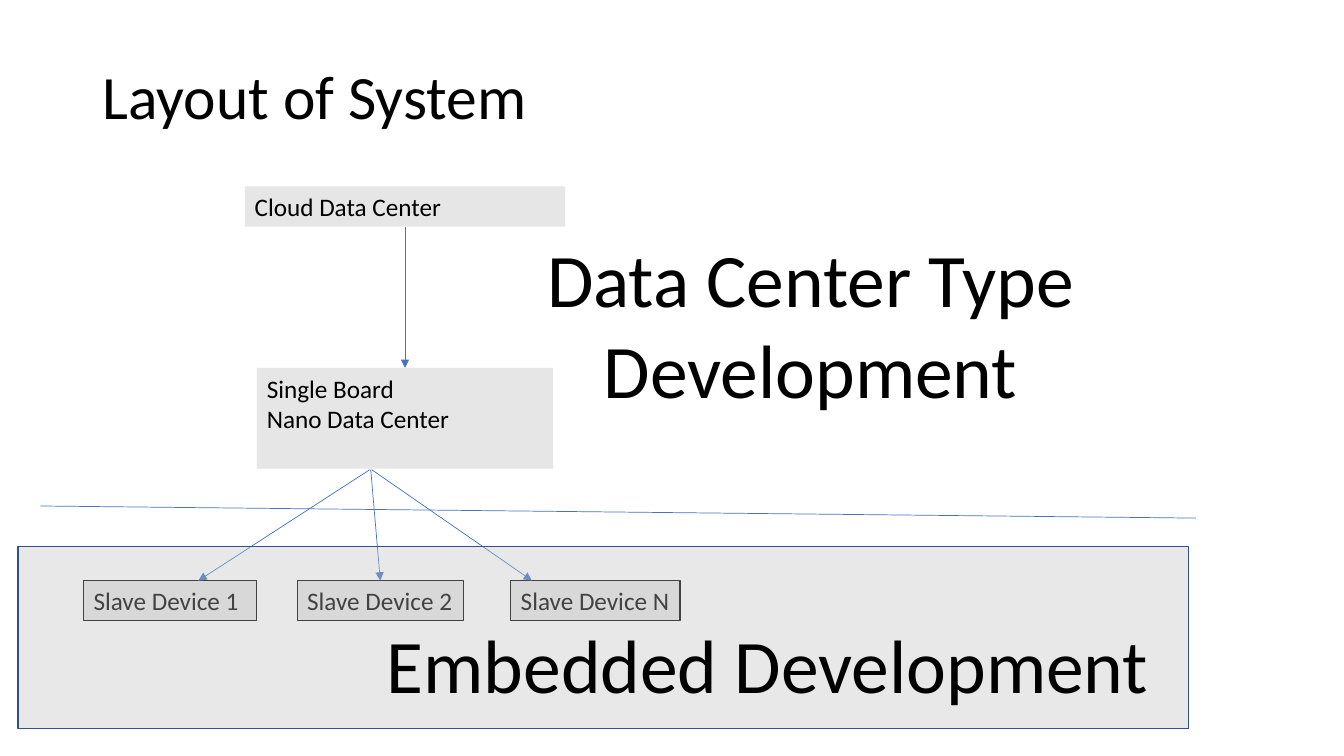
from dataclasses import dataclass

from lxml import etree
from pptx import Presentation
from pptx.dml.color import RGBColor
from pptx.enum.shapes import MSO_CONNECTOR, MSO_SHAPE
from pptx.enum.text import MSO_ANCHOR, PP_ALIGN
from pptx.oxml.ns import qn
from pptx.shapes.autoshape import Shape
from pptx.shapes.connector import Connector
from pptx.slide import Slide
from pptx.util import Inches, Pt

RECT = MSO_SHAPE.RECTANGLE
STRAIGHT = MSO_CONNECTOR.STRAIGHT
TOP, MIDDLE = MSO_ANCHOR.TOP, MSO_ANCHOR.MIDDLE
LEFT, CENTER = PP_ALIGN.LEFT, PP_ALIGN.CENTER
SIDE_TOP, SIDE_BOTTOM = 0, 2


@dataclass(frozen=True)
class Theme:
    font: str = "Calibri"
    text: RGBColor = RGBColor(0, 0, 0)
    box: RGBColor = RGBColor(0xE7, 0xE6, 0xE6)
    band: RGBColor = RGBColor(0xBF, 0xBF, 0xBF)
    band_line: RGBColor = RGBColor(0x2F, 0x52, 0x8F)
    arrow: RGBColor = RGBColor(0x44, 0x72, 0xC4)
    band_alpha: int = 35
    body: int = 18
    title: int = 44
    zone: int = 54


@dataclass(frozen=True)
class Box:
    key: str
    text: str
    left: float
    top: float
    width: float
    height: float = 0.4
    outlined: bool = False


@dataclass(frozen=True)
class Link:
    start: tuple[float, float]
    end: tuple[float, float]
    source: str = ""
    target: str = ""
    arrow: bool = True


@dataclass(frozen=True)
class Label:
    text: str
    left: float
    top: float
    width: float
    height: float
    size: int
    align: PP_ALIGN = CENTER
    anchor: MSO_ANCHOR = TOP
    spacing: float = 1.0
    wrap: bool = False


THEME = Theme()
DEVICE_TOP = 5.76
HUB_Y = 4.66

BOXES = [
    Box("hub", "Single Board\nNano Data Center", 2.55, 3.65, 2.94, 1),
    Box("device 1", "Slave Device 1", 0.83, DEVICE_TOP, 1.72, outlined=True),
    Box("device 2", "Slave Device 2", 2.95, DEVICE_TOP, 1.65, outlined=True),
    Box("device N", "Slave Device N", 5.07, DEVICE_TOP, 1.68, outlined=True),
    Box("cloud", "Cloud Data Center", 2.43, 1.85, 3.18),
]
LINKS = [
    Link((4.02, 2.25), (4.02, 3.65), source="cloud", target="hub"),
    Link((3.67, HUB_Y), (1.97, DEVICE_TOP)),
    Link((3.68, HUB_Y), (3.78, DEVICE_TOP), target="device 2"),
    Link((3.69, HUB_Y), (5.28, DEVICE_TOP)),
    Link((0.4, 5.02), (11.87, 5.14), arrow=False),
]
TITLE = Label("Layout of System", 0.92, 0.4, 11.5, 1.17, THEME.title,
              LEFT, MIDDLE, 0.9, True)
ZONES = [
    Label("Embedded Development", 3.73, 6.08, 7.78, 1, THEME.zone),
    Label("Data Center Type\nDevelopment", 5.3, 2.25, 5.49, 1.9, THEME.zone),
]


def write(sp: Shape, text: str, *, size: int = THEME.body,
          align: PP_ALIGN = LEFT, anchor: MSO_ANCHOR = TOP,
          spacing: float = 1.0, wrap: bool = True) -> None:
    tf = sp.text_frame
    tf.word_wrap = wrap
    tf.vertical_anchor = anchor
    for i, line in enumerate(text.split("\n")):
        p = tf.paragraphs[0] if i == 0 else tf.add_paragraph()
        p.alignment = align
        p.line_spacing = spacing
        r = p.add_run()
        r.text = line
        r.font.name = THEME.font
        r.font.size = Pt(size)
        r.font.color.rgb = THEME.text


def add_rect(s: Slide, left: float, top: float, width: float, height: float,
             fill: RGBColor, line: RGBColor | None = None,
             weight: float = 0.75) -> Shape:
    sp = s.shapes.add_shape(RECT, Inches(left), Inches(top),
                            Inches(width), Inches(height))
    sp.shadow.inherit = False
    sp.fill.solid()
    sp.fill.fore_color.rgb = fill
    if line is None:
        sp.line.fill.background()
    else:
        sp.line.color.rgb = line
        sp.line.width = Pt(weight)
    return sp


def add_box(s: Slide, box: Box) -> Shape:
    sp = add_rect(s, box.left, box.top, box.width, box.height, THEME.box,
                  THEME.text if box.outlined else None)
    write(sp, box.text)
    return sp


def add_link(s: Slide, link: Link, boxes: dict[str, Shape]) -> Connector:
    cn = s.shapes.add_connector(STRAIGHT, *map(Inches, link.start + link.end))
    if link.source:
        cn.begin_connect(boxes[link.source], SIDE_BOTTOM)
    if link.target:
        cn.end_connect(boxes[link.target], SIDE_TOP)
    cn.line.color.rgb = THEME.arrow
    cn.line.width = Pt(0.5)
    if link.arrow:
        ln = cn._element.spPr.find(qn("a:ln"))
        etree.SubElement(ln, qn("a:tailEnd"), type="triangle")
    etree.SubElement(cn._element.spPr, qn("a:effectLst"))
    return cn


def add_label(s: Slide, label: Label) -> None:
    sp = s.shapes.add_textbox(Inches(label.left), Inches(label.top),
                              Inches(label.width), Inches(label.height))
    write(sp, label.text, size=label.size, align=label.align,
          anchor=label.anchor, spacing=label.spacing, wrap=label.wrap)


def add_band(s: Slide) -> None:
    sp = add_rect(s, 0.18, 5.42, 11.62, 1.81, THEME.band, THEME.band_line, 1)
    color = sp._element.spPr.find(qn("a:solidFill"))[0]
    etree.SubElement(color, qn("a:alpha"), val=str(THEME.band_alpha * 1000))


def main() -> None:
    prs = Presentation()
    prs.slide_width, prs.slide_height = Inches(13.34), Inches(7.5)
    s = prs.slides.add_slide(prs.slide_layouts[6])
    add_label(s, TITLE)
    boxes = {box.key: add_box(s, box) for box in BOXES}
    for link in LINKS:
        add_link(s, link, boxes)
    add_band(s)
    for label in ZONES:
        add_label(s, label)
    prs.save("out.pptx")


if __name__ == "__main__":
    main()
